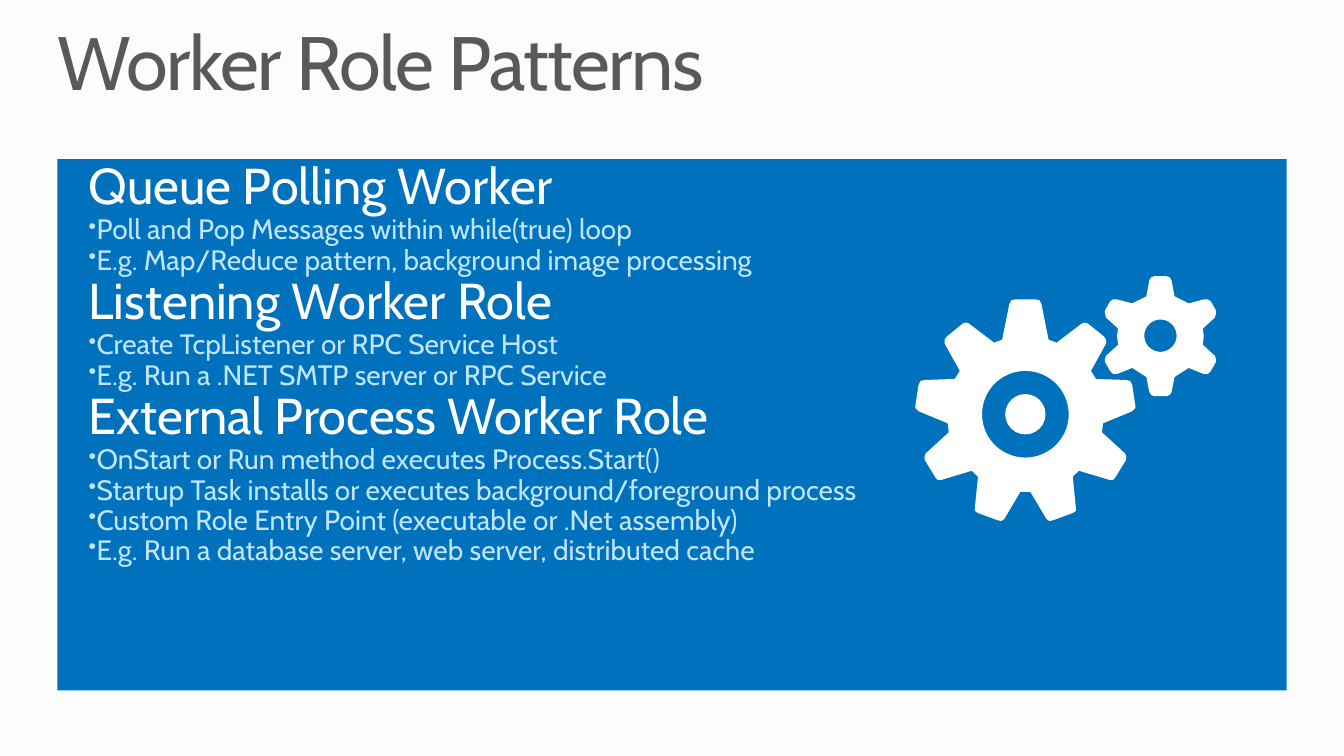
"""Build the Worker Role Patterns slide with its text panel and gear icon."""
import math

from pptx import Presentation, oxml, util as u
from pptx.dml.color import RGBColor
from pptx.enum import shapes, text
from pptx.oxml import ns

TITLE = "Worker Role Patterns"
PATTERNS = [
    ("Queue Polling Worker", [
        "Poll and Pop Messages within while(true) loop",
        "E.g. Map/Reduce pattern, background image processing",
    ]),
    ("Listening Worker Role", [
        "Create TcpListener or RPC Service Host",
        "E.g. Run a .NET SMTP server or RPC Service",
    ]),
    ("External Process Worker Role", [
        "OnStart or Run method executes Process.Start()",
        "Startup Task installs or executes background/foreground process",
        "Custom Role Entry Point (executable or .Net assembly)",
        "E.g. Run a database server, web server, distributed cache",
    ]),
]
COLORS = {"background": "FCFCFC", "panel": "0071BC", "title": "595959",
          "heading": "FFFFFF", "bullet": "BFE5FF", "gear": "FFFFFF"}
FONT = "Cabin"
LEFT, WIDTH = 0.57, 12.19

LARGE_GEAR = {
    "center": (10.17, 4.11), "hole": 0.43,
    "right_half": [
        (0.1, -1.14), (0.14, -1.13), (0.16, -1.09), (0.23, -0.74), (0.31, -0.71),
        (0.56, -0.9), (0.59, -0.91), (0.62, -0.9), (0.78, -0.77), (0.8, -0.74),
        (0.8, -0.7), (0.65, -0.43), (0.7, -0.35), (1, -0.34), (1.04, -0.33),
        (1.06, -0.29), (1.09, -0.09), (1.09, -0.06), (1.06, -0.03), (0.77, 0.09),
        (0.76, 0.18), (0.99, 0.39), (1, 0.42), (1, 0.45), (0.89, 0.63),
        (0.87, 0.65), (0.83, 0.65), (0.53, 0.56), (0.47, 0.62), (0.5, 0.92),
        (0.5, 0.96), (0.47, 0.98), (0.28, 1.05), (0.24, 1.06), (0.21, 1.04),
        (0.05, 0.77),
    ],
}
SMALL_GEAR = {
    "center": (11.51, 3.33), "hole": 0.16,
    "right_half": [
        (0.06, -0.59), (0.09, -0.58), (0.11, -0.55), (0.14, -0.39), (0.28, -0.32),
        (0.43, -0.36), (0.47, -0.36), (0.5, -0.34), (0.55, -0.25), (0.55, -0.22),
        (0.54, -0.18), (0.42, -0.07), (0.43, 0), (0.42, 0.09), (0.54, 0.2),
        (0.55, 0.23), (0.55, 0.26), (0.5, 0.35), (0.47, 0.38), (0.43, 0.38),
        (0.28, 0.32), (0.14, 0.41), (0.11, 0.56), (0.09, 0.59), (0.06, 0.6),
    ],
}


def paint(shape, color):
    shape.fill.solid()
    shape.fill.fore_color.rgb = RGBColor.from_string(COLORS[color])
    shape.line.fill.background()
    shape.shadow.inherit = False


def prepare(shape):
    frame = shape.text_frame
    frame.word_wrap = True
    frame.auto_size = text.MSO_AUTO_SIZE.NONE
    frame.vertical_anchor = text.MSO_ANCHOR.TOP
    frame.margin_left = frame.margin_right = 0
    frame.margin_top = frame.margin_bottom = 0
    return frame


def write(paragraph, words, size, color):
    paragraph.alignment = text.PP_ALIGN.LEFT
    paragraph.line_spacing = 0.9
    paragraph.space_before = paragraph.space_after = u.Pt(0)
    run = paragraph.add_run()
    run.text = words
    run.font.name = FONT
    run.font.size = u.Pt(size)
    run.font.color.rgb = RGBColor.from_string(COLORS[color])
    return run


def add_bullet(paragraph):
    paragraph.level = 1
    properties = paragraph._p.get_or_add_pPr()
    properties.set("marL", "0")
    properties.set("indent", str(-u.Inches(0.38)))
    for tag, name, value in (("a:buSzPct", "val", "80000"), ("a:buChar", "char", "•")):
        element = oxml.parse_xml(f"<{tag} {ns.nsdecls('a')}/>")
        element.set(name, value)
        properties.append(element)


def add_gear(slide, gear):
    center_x, center_y = gear["center"]

    def place(points):
        return [(u.Inches(center_x + x), u.Inches(center_y + y)) for x, y in points]

    right = gear["right_half"]
    outline = place(right + [(-x, y) for x, y in reversed(right)])
    angles = [math.tau * step / 60 for step in range(60)]
    hole = place([(gear["hole"] * math.cos(a), -gear["hole"] * math.sin(a)) for a in angles])
    builder = slide.shapes.build_freeform(*outline[0])
    builder.add_line_segments(outline[1:], close=True)
    builder.move_to(*hole[0])
    builder.add_line_segments(hole[1:], close=True)
    paint(builder.convert_to_shape(), "gear")


def main():
    presentation = Presentation()
    presentation.slide_width, presentation.slide_height = u.Inches(13.33), u.Inches(7.5)
    slide = presentation.slides.add_slide(presentation.slide_layouts[5])
    slide.background.fill.solid()
    slide.background.fill.fore_color.rgb = RGBColor.from_string(COLORS["background"])

    title = slide.shapes.title
    title.left, title.top = u.Inches(LEFT), u.Inches(0.25)
    title.width, title.height = u.Inches(WIDTH), u.Inches(0.82)
    run = write(prepare(title).paragraphs[0], TITLE, 54, "title")
    run.font._element.set("spc", "-100")

    panel = slide.shapes.add_shape(
        shapes.MSO_SHAPE.RECTANGLE,
        u.Inches(LEFT), u.Inches(1.58), u.Inches(WIDTH), u.Inches(5.27))
    paint(panel, "panel")

    body = slide.shapes.add_textbox(
        u.Inches(0.88), u.Inches(1.6), u.Inches(12.2), u.Inches(5.39))
    frame = prepare(body)
    for index, (heading, bullets) in enumerate(PATTERNS):
        paragraph = frame.add_paragraph() if index else frame.paragraphs[0]
        write(paragraph, heading, 36, "heading")
        for words in bullets:
            paragraph = frame.add_paragraph()
            write(paragraph, words, 20, "bullet")
            add_bullet(paragraph)

    add_gear(slide, LARGE_GEAR)
    hub = slide.shapes.add_shape(
        shapes.MSO_SHAPE.OVAL,
        u.Inches(9.97), u.Inches(3.91), u.Inches(0.4), u.Inches(0.4))
    paint(hub, "gear")
    add_gear(slide, SMALL_GEAR)
    presentation.save("out.pptx")


if __name__ == "__main__":
    main()
